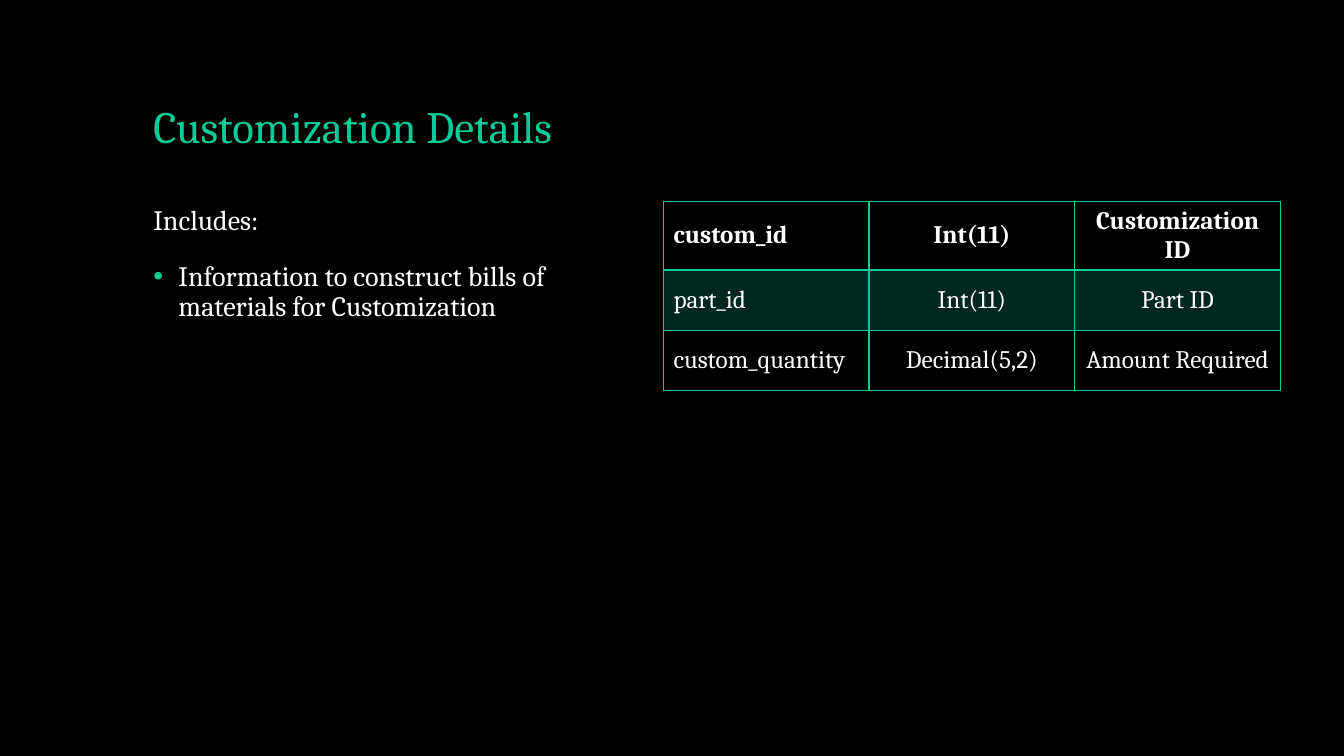
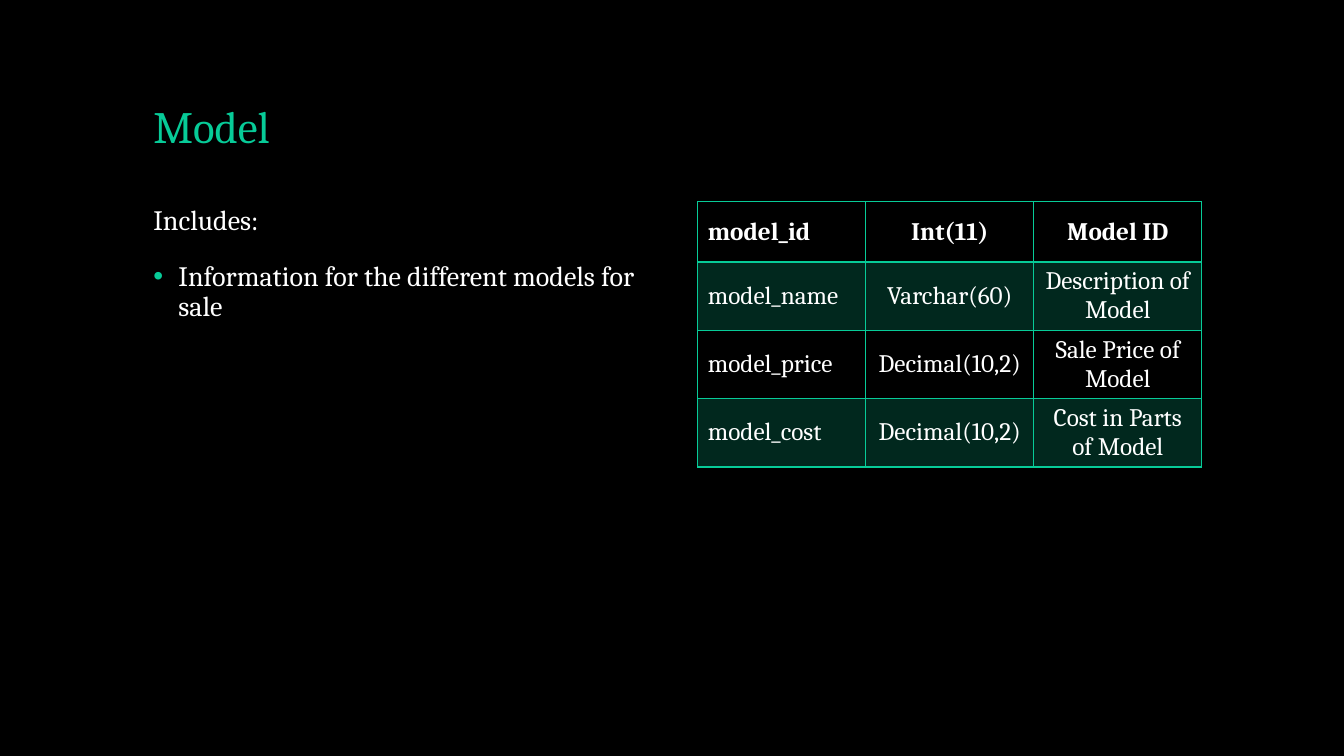
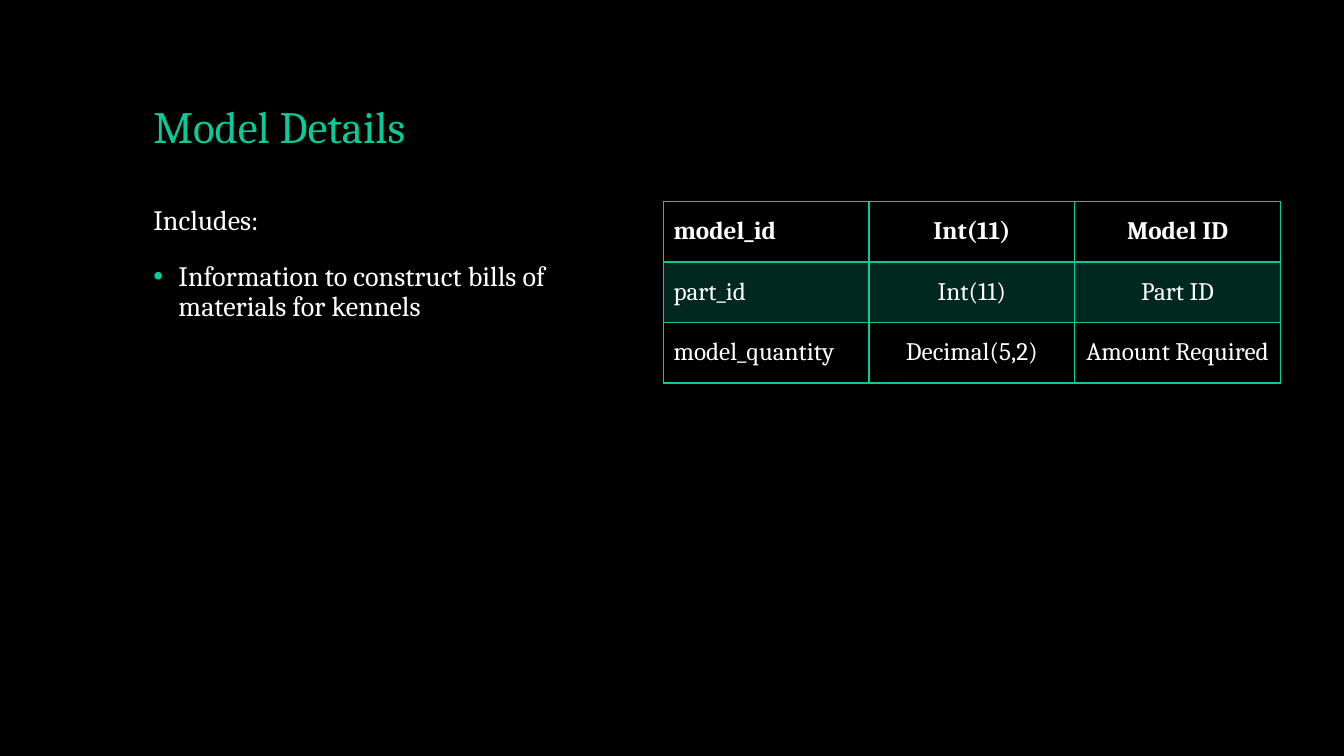
"""Build three database table slides: a title, a short list and a column table."""
from lxml import etree
from pptx import Presentation
from pptx.dml.color import RGBColor
from pptx.enum.text import MSO_ANCHOR, MSO_AUTO_SIZE, PP_ALIGN
from pptx.oxml.ns import qn
from pptx.util import Inches, Pt

LEFT, CENTER = PP_ALIGN.LEFT, PP_ALIGN.CENTER
TOP, MIDDLE, BOTTOM = MSO_ANCHOR.TOP, MSO_ANCHOR.MIDDLE, MSO_ANCHOR.BOTTOM
NO_FIT = MSO_AUTO_SIZE.NONE

COLORS = {"background": "000000", "accent": "07CB98", "text": "FFFFFF"}
FONT = "Cambria"
TITLE_AREA = (1.42, 0.4, 10.5, 1.17)
LIST_AREA = (1.42, 2, 5, 4.76)
TABLE_TOP = 2
ROW_HEIGHT = 0.6
LINE, HEADER_LINE = 1, 2
BAND_ALPHA = 20

PAGES = [
    {
        "title": "Customization Details",
        "point": "Information to construct bills of materials for Customization",
        "left": 6.58,
        "width": 6.12,
        "rows": [
            ("custom_id", "Int(11)", "Customization ID"),
            ("part_id", "Int(11)", "Part ID"),
            ("custom_quantity", "Decimal(5,2)", "Amount Required"),
        ],
    },
    {
        "title": "Model",
        "point": "Information for the different models for sale",
        "left": 6.92,
        "width": 5,
        "rows": [
            ("model_id", "Int(11)", "Model ID"),
            ("model_name", "Varchar(60)", "Description of Model"),
            ("model_price", "Decimal(10,2)", "Sale Price of Model"),
            ("model_cost", "Decimal(10,2)", "Cost in Parts of Model"),
        ],
    },
    {
        "title": "Model Details",
        "point": "Information to construct bills of materials for kennels",
        "left": 6.58,
        "width": 6.12,
        "rows": [
            ("model_id", "Int(11)", "Model ID"),
            ("part_id", "Int(11)", "Part ID"),
            ("model_quantity", "Decimal(5,2)", "Amount Required"),
        ],
    },
]


def write(para, text, color, size, bold=False, **layout):
    for name, value in layout.items():
        setattr(para, name, value)
    span = para.add_run()
    span.text = text
    font = {"name": FONT, "size": Pt(size), "bold": bold}
    for name, value in font.items():
        setattr(span.font, name, value)
    span.font.color.rgb = RGBColor.from_string(COLORS[color])


def add_color(parent, color):
    return etree.SubElement(parent, qn("a:srgbClr"), val=COLORS[color])


deck = Presentation()
deck.slide_width, deck.slide_height = Inches(13.33), Inches(7.5)
backdrop = deck.slide_master.background.fill
backdrop.solid()
backdrop.fore_color.rgb = RGBColor.from_string(COLORS["background"])

layout = deck.slide_layouts[1]
for holder, area, anchor in zip(layout.placeholders, (TITLE_AREA, LIST_AREA), (BOTTOM, TOP)):
    for name, value in zip(("left", "top", "width", "height"), area):
        setattr(holder, name, Inches(value))
    holder.text_frame.auto_size = NO_FIT
    holder.text_frame.vertical_anchor = anchor

for content in PAGES:
    page = deck.slides.add_slide(layout)
    title, body = page.placeholders
    write(title.text_frame.paragraphs[0], content["title"], "accent", 32,
          alignment=LEFT, line_spacing=0.9)

    intro = body.text_frame.paragraphs[0]
    point = body.text_frame.add_paragraph()
    for para, text, indent in ((intro, "Includes:", 0), (point, content["point"], 0.25)):
        write(para, text, "text", 20, line_spacing=0.9, space_before=Pt(18))
        properties = para._p.get_or_add_pPr()
        properties.set("marL", str(Inches(indent)))
        properties.set("indent", str(-Inches(indent)))
        if indent:
            add_color(etree.SubElement(properties, qn("a:buClr")), "accent")
            etree.SubElement(properties, qn("a:buFont"), typeface="Arial")
            etree.SubElement(properties, qn("a:buChar"), char="•")
        else:
            etree.SubElement(properties, qn("a:buNone"))

    rows = content["rows"]
    columns = len(rows[0])
    table = page.shapes.add_table(
        len(rows), columns, Inches(content["left"]), Inches(TABLE_TOP),
        Inches(content["width"]), Inches(ROW_HEIGHT * len(rows))).table
    table.horz_banding = False
    for column in table.columns:
        column.width = Inches(content["width"] / columns)
    for row_index, row in enumerate(rows):
        for column_index, text in enumerate(row):
            cell = table.cell(row_index, column_index)
            cell.vertical_anchor = MIDDLE
            write(cell.text_frame.paragraphs[0], text, "text", 18, bold=row_index == 0,
                  alignment=CENTER if column_index else LEFT)
            properties = cell._tc.get_or_add_tcPr()
            widths = {
                "lnL": LINE,
                "lnR": LINE,
                "lnT": HEADER_LINE if row_index == 1 else LINE,
                "lnB": HEADER_LINE if row_index == 0 else LINE,
            }
            for side, width in widths.items():
                border = etree.SubElement(properties, qn(f"a:{side}"), w=str(Pt(width)))
                add_color(etree.SubElement(border, qn("a:solidFill")), "accent")
            if row_index % 2:
                band = add_color(etree.SubElement(properties, qn("a:solidFill")), "accent")
                etree.SubElement(band, qn("a:alpha"), val=str(BAND_ALPHA * 1000))
            else:
                cell.fill.background()

deck.save("out.pptx")
